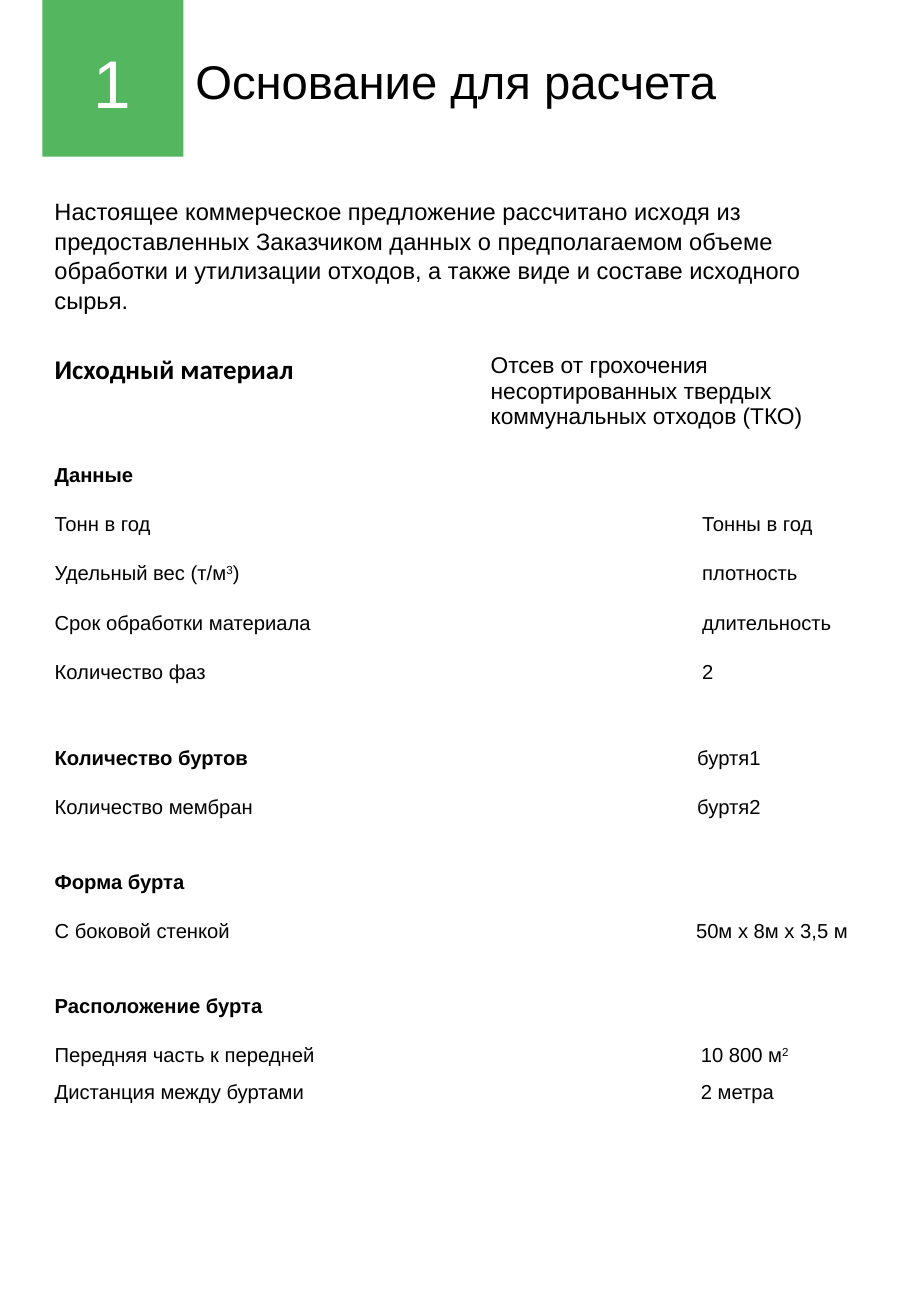
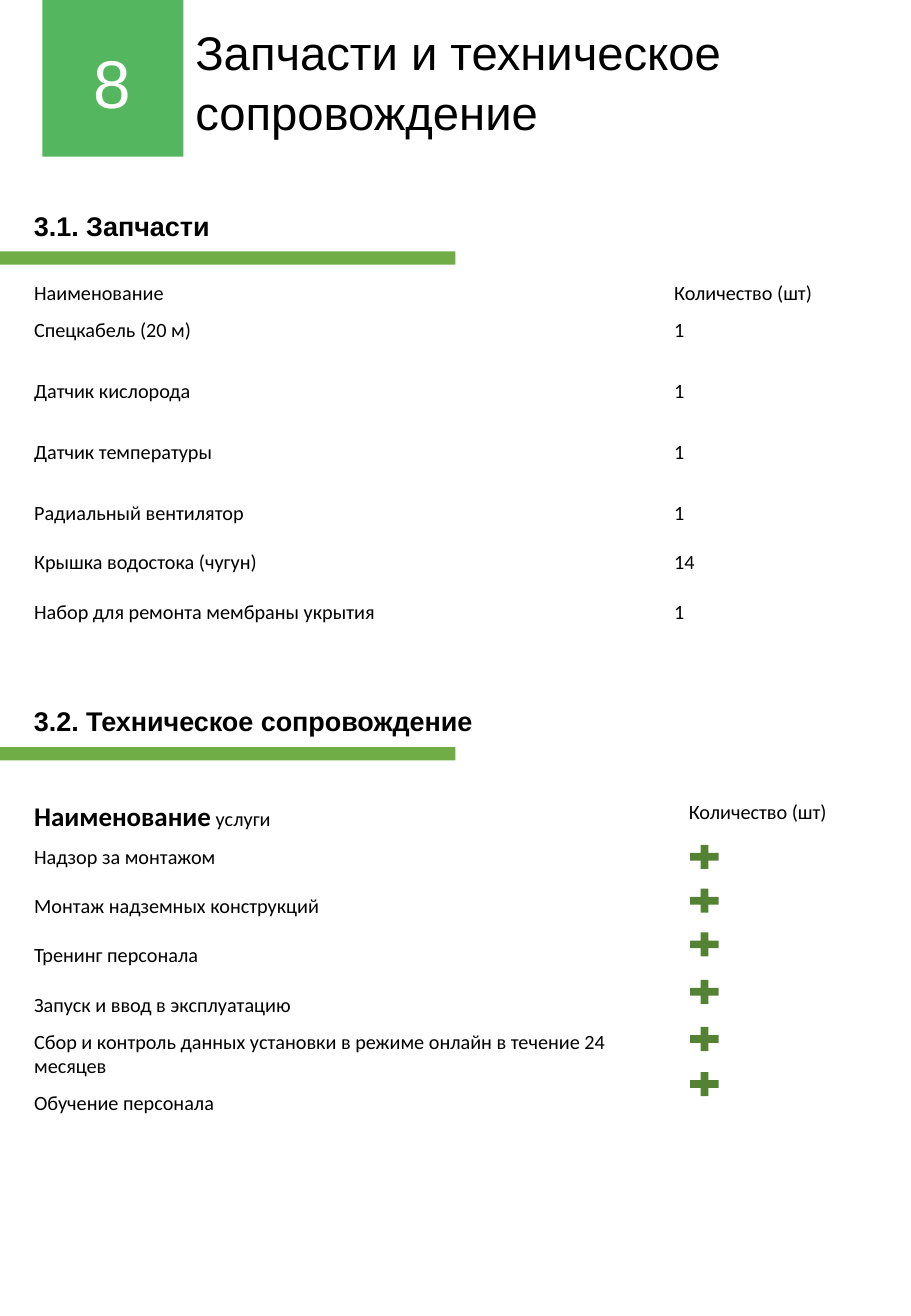
from dataclasses import dataclass

import pptx
import pptx.dml.color
import pptx.enum.shapes
import pptx.oxml
import pptx.oxml.ns
import pptx.util

Pt = pptx.util.Pt
RGBColor = pptx.dml.color.RGBColor
Shape = pptx.enum.shapes.MSO_SHAPE

BADGE_GREEN = RGBColor(0x3A, 0xAA, 0x47)
BAR_GREEN = RGBColor(0x70, 0xAD, 0x47)
PLUS_GREEN = RGBColor(0x54, 0x82, 0x35)
BLACK = RGBColor(0, 0, 0)
WHITE = RGBColor(255, 255, 255)

LEFT = 25.2
SECTION_LEFT = 13
ROW = 29.2
LOW_ROW = 21.9
HIGH_ROW = 36.2
LINE_SPACING = 1.05
PLUS_TOPS = (498.2, 524.2, 550.1, 578.2, 606.2, 632.9)


@dataclass(frozen=True)
class Box:
    left: float
    top: float
    width: float
    height: float

    def lengths(self) -> list:
        return [Pt(value) for value in (self.left, self.top, self.width, self.height)]


@dataclass(frozen=True)
class Words:
    text: str
    size: float = 12
    font: str = "Arial"
    bold: bool = False
    color: RGBColor = BLACK
    raised: bool = False


@dataclass(frozen=True)
class Grid:
    left: float
    top: float
    columns: tuple
    heights: tuple
    rows: tuple
    font: str = "Arial"


def heading(text: str) -> Words:
    return Words(text, bold=True)


def write(paragraph, pieces: list) -> None:
    for piece in pieces:
        run = paragraph.add_run()
        run.text = piece.text
        values = {"name": piece.font, "size": Pt(piece.size), "bold": piece.bold}
        for name, value in values.items():
            setattr(run.font, name, value)
        run.font.color.rgb = piece.color
        if piece.raised:
            run._r.get_or_add_rPr().set("baseline", "30000")


def add_text(slide, box: Box, words: Words) -> None:
    frame = slide.shapes.add_textbox(*box.lengths()).text_frame
    frame.word_wrap = True
    paragraph = frame.paragraphs[0]
    paragraph.line_spacing = LINE_SPACING
    write(paragraph, [words])


def add_shape(slide, kind, box: Box, color: RGBColor):
    shape = slide.shapes.add_shape(kind, *box.lengths())
    shape.shadow.inherit = False
    shape.fill.solid()
    shape.fill.fore_color.rgb = color
    shape.line.fill.background()
    return shape


def add_header(slide, number: str, title: str, title_box: Box) -> None:
    badge = add_shape(slide, Shape.RECTANGLE, Box(LEFT, 0, 83.5, 92.9), BADGE_GREEN)
    fill_color = badge._element.spPr.find(".//" + pptx.oxml.ns.qn("a:srgbClr"))
    alpha = pptx.oxml.parse_xml(f'<a:alpha {pptx.oxml.ns.nsdecls("a")} val="86000"/>')
    fill_color.append(alpha)
    add_text(slide, Box(48.2, 18.7, 40, 55.4), Words(number, 40, color=WHITE))
    add_text(slide, title_box, Words(title, 28))


def add_section(slide, title: str, top: float) -> None:
    add_shape(slide, Shape.RECTANGLE, Box(0, top + 29.5, 270, 7.9), BAR_GREEN)
    add_text(slide, Box(SECTION_LEFT, top, 292, 26.6), Words(title, 16, bold=True))


def add_grid(slide, grid: Grid) -> None:
    box = Box(grid.left, grid.top, sum(grid.columns), sum(grid.heights))
    table = slide.shapes.add_table(
        len(grid.rows), len(grid.columns), *box.lengths()
    ).table
    for name in ("first_row", "horz_banding"):
        setattr(table, name, False)
    for column, width in zip(table.columns, grid.columns):
        column.width = Pt(width)
    for row, height, contents in zip(table.rows, grid.heights, grid.rows):
        row.height = Pt(height)
        for cell, content in zip(row.cells, contents):
            cell.fill.background()
            paragraph = cell.text_frame.paragraphs[0]
            pieces = content if isinstance(content, list) else [content]
            write(paragraph, [
                Words(piece, font=grid.font) if isinstance(piece, str) else piece
                for piece in pieces if piece
            ])
            if not content:
                paragraph._p.get_or_add_endParaRPr().set("sz", "1200")


BASIS_GRIDS = (
    Grid(LEFT, 205.9, (258.5, 244), (39.6,), (
        (Words("Исходный материал", 16, "Calibri", True),
         Words("Отсев от грохочения несортированных твердых коммунальных отходов (ТКО)", 13.5)),
    )),
    Grid(LEFT, 271.4, (383.8, 93.6), (ROW,) * 5, (
        (heading("Данные"), ""),
        ("Тонн в год", "Тонны в год"),
        (["Удельный вес (т/м", Words("3", raised=True), ")"], "плотность"),
        ("Срок обработки материала", "длительность"),
        ("Количество фаз", "2"),
    )),
    Grid(LEFT, 439.2, (380.9, 82), (ROW,) * 2, (
        (heading("Количество буртов"), "буртя1"),
        ("Количество мембран", "буртя2"),
    )),
    Grid(LEFT, 512.6, (380.2, 134.6), (ROW,) * 2, (
        (heading("Форма бурта"), ""),
        ("С боковой стенкой", "50м х 8м х 3,5 м"),
    )),
    Grid(LEFT, 586.1, (383, 80), (ROW, LOW_ROW, LOW_ROW), (
        (heading("Расположение бурта"), ""),
        ("Передняя часть к передней", ["10 800 м", Words("2", raised=True)]),
        ("Дистанция между буртами", "2 метра"),
    )),
)

PARTS_GRID = Grid(
    SECTION_LEFT, 163.4, (379.4, 117.4),
    (21.6, HIGH_ROW, HIGH_ROW, HIGH_ROW, ROW, ROW, 21.6),
    (
        ("Наименование", "Количество (шт)"),
        ("Спецкабель (20 м)", "1"),
        ("Датчик кислорода", "1"),
        ("Датчик температуры", "1"),
        ("Радиальный вентилятор", "1"),
        ("Крышка водостока (чугун)", "14"),
        ("Набор для ремонта мембраны укрытия", "1"),
    ),
    "Calibri",
)

SERVICES_GRID = Grid(
    SECTION_LEFT, 470.9, (388.1, 121.7),
    (26, ROW, ROW, ROW, LOW_ROW, HIGH_ROW, LOW_ROW),
    (
        ([Words("Наименование", 16, "Calibri", True), " услуги"], "Количество (шт)"),
        ("Надзор за монтажом", ""),
        ("Монтаж надземных конструкций", ""),
        ("Тренинг персонала", ""),
        ("Запуск и ввод в эксплуатацию", ""),
        ("Сбор и контроль данных установки в режиме онлайн в течение 24 месяцев", ""),
        ("Обучение персонала", ""),
    ),
    "Calibri",
)


def build_basis(slide) -> None:
    add_header(slide, "1", "Основание для расчета", Box(108.7, 25.9, 394.6, 41))
    add_text(slide, Box(LEFT, 112.3, 502.6, 74.9), Words(
        "Настоящее коммерческое предложение рассчитано исходя из предоставленных "
        "Заказчиком данных о предполагаемом объеме обработки и утилизации отходов, "
        "а также виде и составе исходного сырья.", 14))
    for grid in BASIS_GRIDS:
        add_grid(slide, grid)


def build_parts(slide) -> None:
    add_header(slide, "8", "Запчасти и техническое сопровождение", Box(108.7, 8.6, 352.8, 74.9))
    add_section(slide, "3.1. Запчасти", 119.5)
    add_grid(slide, PARTS_GRID)
    add_section(slide, "3.2. Техническое сопровождение", 413.3)
    add_grid(slide, SERVICES_GRID)
    for top in PLUS_TOPS:
        add_shape(slide, Shape.MATH_PLUS, Box(406.1, top, 23, 19.4), PLUS_GREEN)


def main() -> None:
    presentation = pptx.Presentation()
    presentation.slide_width = Pt(540)
    presentation.slide_height = Pt(780)
    for build in (build_basis, build_parts):
        build(presentation.slides.add_slide(presentation.slide_layouts[6]))
    presentation.save("out.pptx")


if __name__ == "__main__":
    main()
